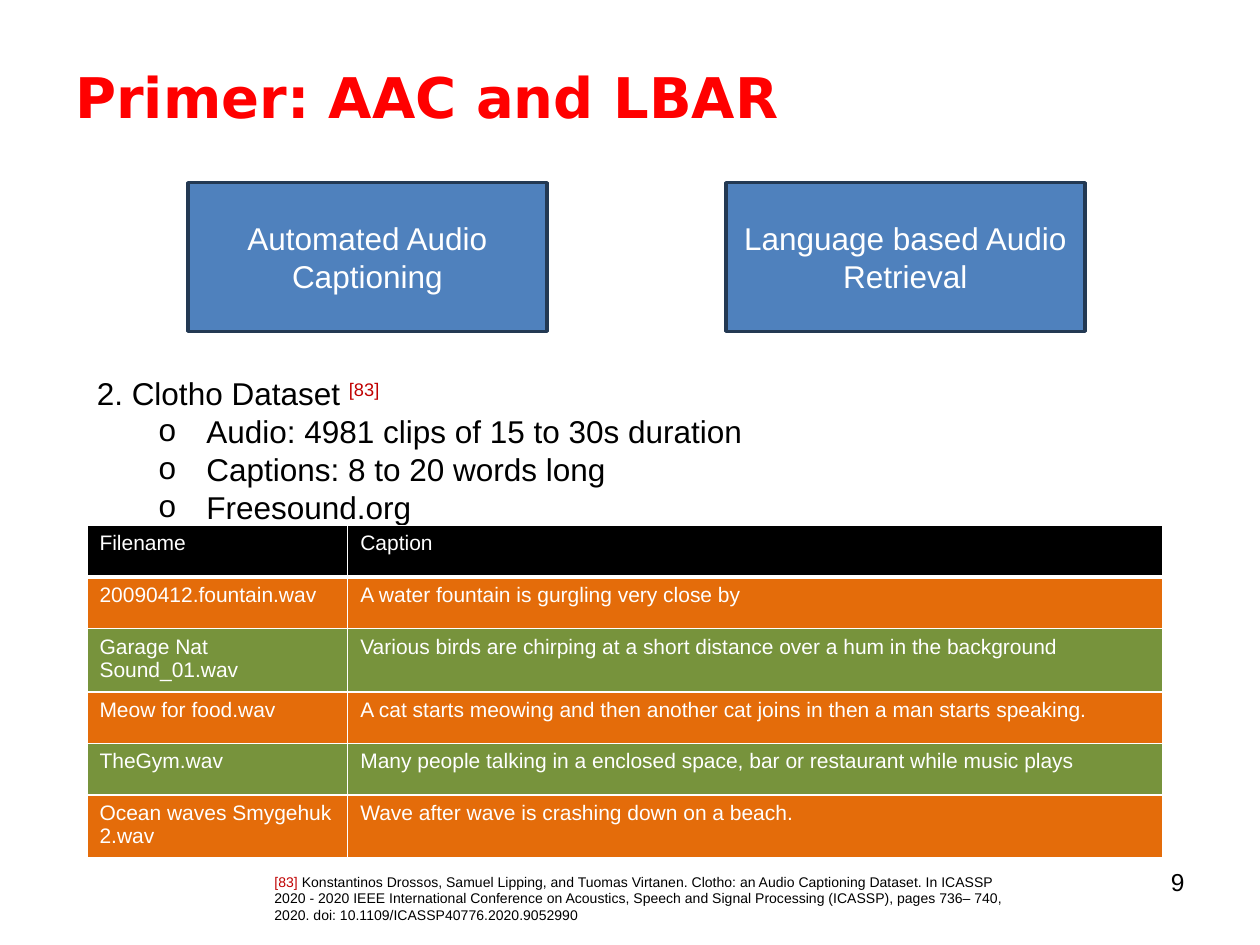
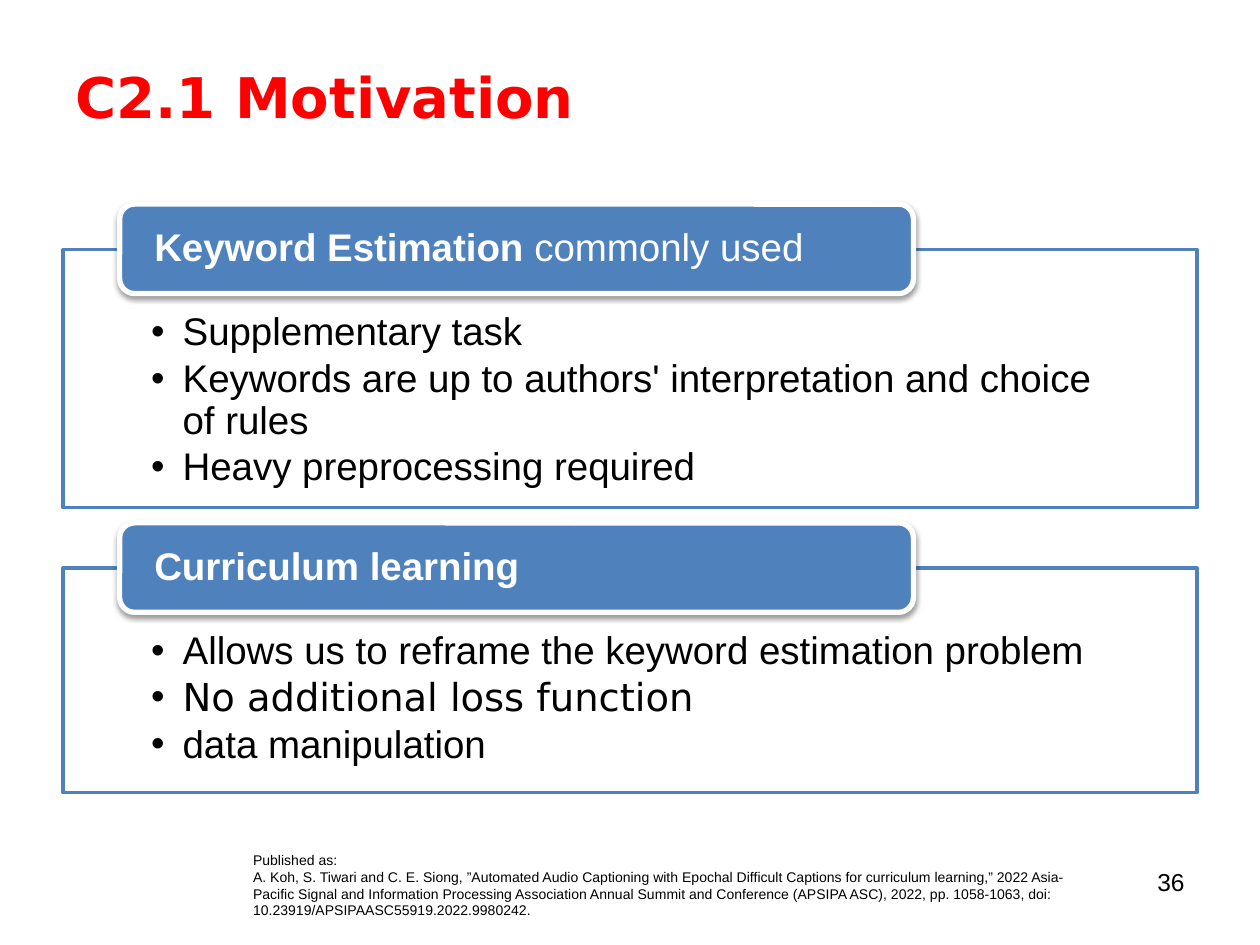
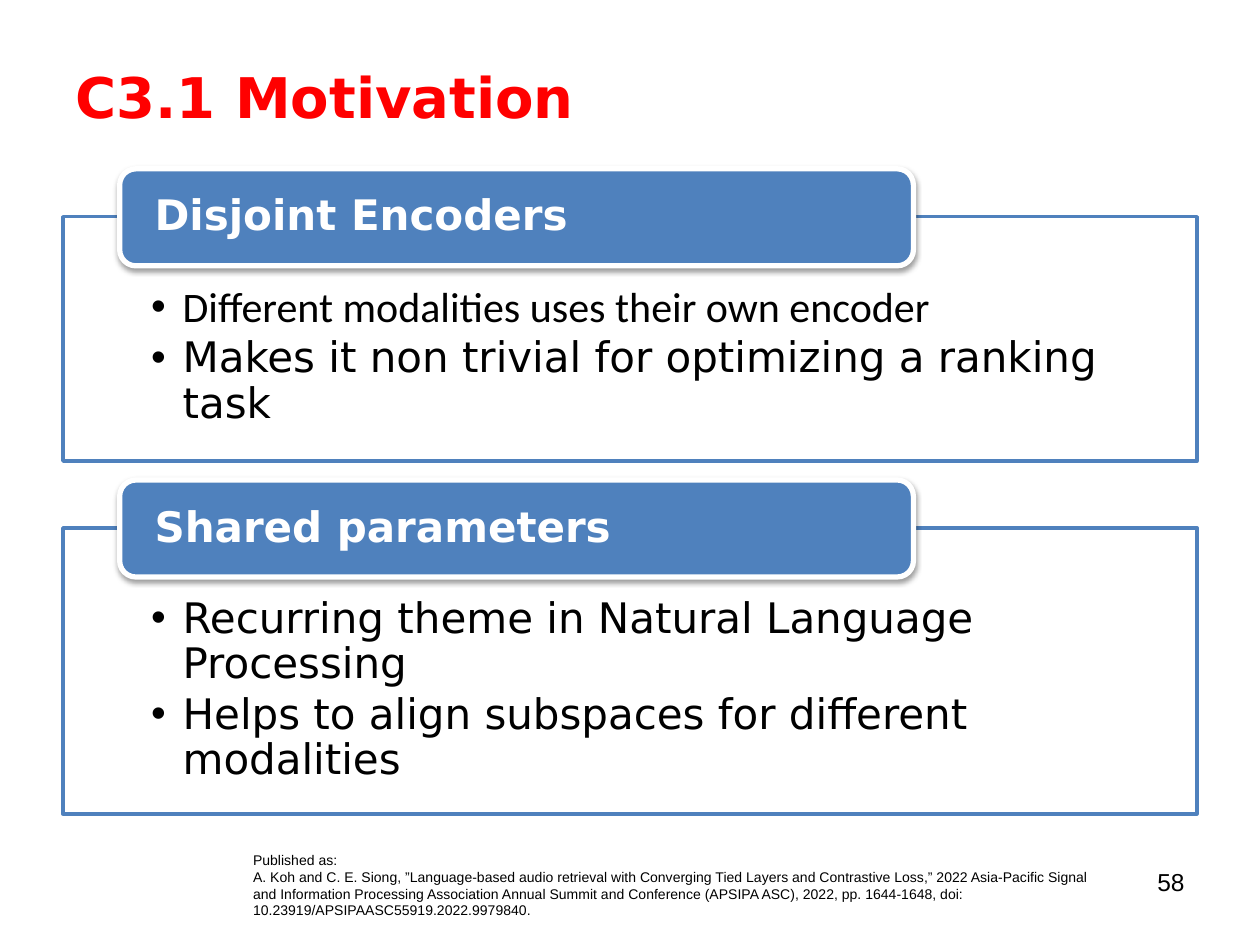
from lxml import etree
from pptx import Presentation
from pptx import util as u
from pptx.dml.color import RGBColor
from pptx.enum import shapes, text
from pptx.oxml import ns


class Theme:
    red, ref, ink, paper = "FF0000", "C00000", "000000", "FFFFFF"
    blue, navy = "4F81BD", "233953"
    bands = ("77933C", "E46C0A")
    sans, wide, human = "Arial", "DejaVu Sans", "Calibri"
    title, body, page, cell, note = 32, 18, 14, 12, 8


def px(*sizes):
    return [u.Emu(n * 9144) for n in sizes]


def write(frame, paras, size=Theme.body, font=Theme.sans, color=Theme.ink, bold=False,
          align="LEFT", anchor="TOP", inset=None, line=None, after=0, bullet=None, indent=0, hang=0):
    frame.word_wrap = True
    frame.vertical_anchor = text.MSO_ANCHOR[anchor]
    if inset:
        frame.margin_left, frame.margin_top, frame.margin_right, frame.margin_bottom = px(*inset)
    for runs in paras:
        para = frame.add_paragraph() if frame.text else frame.paragraphs[0]
        para.alignment = text.PP_ALIGN[align]
        para.space_after = u.Pt(after)
        if line:
            para.line_spacing = line
        if bullet:
            props = para._p.get_or_add_pPr()
            left, first = px(indent, -hang)
            props.set("marL", str(left))
            props.set("indent", str(first))
            etree.SubElement(props, ns.qn("a:buFont")).set("typeface", Theme.sans)
            etree.SubElement(props, ns.qn("a:buChar")).set("char", bullet)
        for words, own in [(runs, {})] if isinstance(runs, str) else runs:
            run = para.add_run()
            run.text = words
            run.font.size = u.Pt(size)
            run.font.name = own.get("font", font)
            run.font.bold = own.get("bold", bold)
            run.font.color.rgb = RGBColor.from_string(own.get("color", color))
            if "base" in own:
                run._r.get_or_add_rPr().set("baseline", str(own["base"] * 1000))


deck = Presentation()
deck.slide_width, deck.slide_height = px(1000, 750)

heads = [("Primer: AAC and LBAR", "9"), ("C2.1 Motivation", "36"), ("C3.1 Motivation", "58")]
slides = []
for head, page in heads:
    slide = deck.slides.add_slide(deck.slide_layouts[6])
    title = slide.shapes.add_textbox(*px(50, 31, 900, 91))
    write(title.text_frame, [head], size=Theme.title, font=Theme.wide, color=Theme.red,
          bold=True, anchor="MIDDLE")
    number = slide.shapes.add_textbox(*px(717, 683, 233, 52))
    write(number.text_frame, [page], size=Theme.page, align="RIGHT")
    slides.append(slide)

primer = slides[0]
for left, task in [(149, "Automated Audio Captioning"), (576, "Language based Audio Retrieval")]:
    box = primer.shapes.add_shape(shapes.MSO_SHAPE.RECTANGLE, *px(left, 145, 285, 118))
    box.shadow.inherit = False
    box.fill.solid()
    box.fill.fore_color.rgb = RGBColor.from_string(Theme.blue)
    box.line.color.rgb = RGBColor.from_string(Theme.navy)
    box.line.width = u.Pt(2)
    write(box.text_frame, [task], color=Theme.paper, align="CENTER", anchor="MIDDLE")

facts = primer.shapes.add_textbox(*px(67, 292, 857, 192)).text_frame
write(facts, [[("2. Clotho Dataset ", {}), ("[83]", {"color": Theme.ref, "base": 30})]])
write(facts, ["Audio: 4981 clips of 15 to 30s duration", "Captions: 8 to 20 words long",
              "Freesound.org"], bullet="o", indent=87, hang=38)

clips = [
    ("Filename", "Caption"),
    ("20090412.fountain.wav", "A water fountain is gurgling very close by"),
    ("Garage Nat Sound_01.wav",
     "Various birds are chirping at a short distance over a hum in the background"),
    ("Meow for food.wav",
     "A cat starts meowing and then another cat joins in then a man starts speaking."),
    ("TheGym.wav",
     "Many people talking in a enclosed space, bar or restaurant while music plays"),
    ("Ocean waves Smygehuk 2.wav", "Wave after wave is crashing down on a beach."),
]
grid = primer.shapes.add_table(len(clips), 2, *px(69, 417, 854, 246)).table
grid.columns[0].width, grid.columns[1].width = px(207, 647)
for r, clip in enumerate(clips):
    for c, words in enumerate(clip):
        cell = grid.cell(r, c)
        props = cell._tc.get_or_add_tcPr()
        for side in "LRTB":
            thick = 3 if (r, side) in [(0, "B"), (1, "T")] else 1
            edge = etree.SubElement(props, ns.qn("a:ln" + side), w=str(u.Pt(thick)))
            fill = etree.SubElement(edge, ns.qn("a:solidFill"))
            etree.SubElement(fill, ns.qn("a:srgbClr"), val=Theme.paper)
        cell.fill.solid()
        cell.fill.fore_color.rgb = RGBColor.from_string(Theme.bands[r % 2] if r else Theme.ink)
        write(cell.text_frame, [words], size=Theme.cell, color=Theme.paper)

wide = {"font": Theme.wide}
panels = [
    (1, 198, 205, 71, 22, Theme.sans,
     [("Keyword Estimation", {}), (" commonly used", {"bold": False})],
     ["Supplementary task", "Keywords are up to authors' interpretation and choice of rules",
      "Heavy preprocessing required"]),
    (1, 451, 178, 71, 22, Theme.sans, "Curriculum learning",
     ["Allows us to reframe the keyword estimation problem",
      [("No additional loss function", wide)], "data manipulation"]),
    (2, 172, 194, 77, 24, Theme.wide, "Disjoint Encoders",
     [[("Different modalities uses their own encoder", {"font": Theme.human})],
      "Makes it non trivial for optimizing a ranking task"]),
    (2, 419, 227, 77, 24, Theme.wide, "Shared parameters",
     ["Recurring theme in Natural Language Processing",
      "Helps to align subspaces for different modalities"]),
]
for index, top, height, tall, size, font, label, points in panels:
    art = slides[index].shapes
    frame = art.add_shape(shapes.MSO_SHAPE.RECTANGLE, *px(50, top, 900, height))
    tab = art.add_shape(shapes.MSO_SHAPE.ROUNDED_RECTANGLE,
                        *px(95, top - round(tall / 2), 630, tall))
    for shape, fill, line, width in [(frame, Theme.paper, Theme.blue, 2),
                                     (tab, Theme.blue, Theme.paper, 3)]:
        shape.shadow.inherit = False
        shape.fill.solid()
        shape.fill.fore_color.rgb = RGBColor.from_string(fill)
        shape.line.color.rgb = RGBColor.from_string(line)
        shape.line.width = u.Pt(width)
    glow = etree.SubElement(tab._element.spPr.find(ns.qn("a:effectLst")), ns.qn("a:outerShdw"),
                            blurRad=str(u.Pt(3.1)), dist=str(u.Pt(1.6)), dir="5400000",
                            rotWithShape="0")
    shade = etree.SubElement(glow, ns.qn("a:srgbClr"), val=Theme.ink)
    etree.SubElement(shade, ns.qn("a:alpha"), val="38000")
    write(frame.text_frame, points, size=size, font=font, inset=(70, size * 5 // 2 - 5, 70, 17),
          line=0.9, after=3, bullet="•", indent=25, hang=25)
    write(tab.text_frame, [label], size=size, font=font, color=Theme.paper, bold=True,
          anchor="MIDDLE", inset=(24, 0, 24, 0), line=0.9)

notes = [
    ((208, 688, 609, 50), [[("[83]", {"color": Theme.ref}), (
        " Konstantinos Drossos, Samuel Lipping, and Tuomas Virtanen. Clotho: an Audio Captioning "
        "Dataset. In ICASSP 2020 - 2020 IEEE International Conference on Acoustics, Speech and "
        "Signal Processing (ICASSP), pages 736– 740, 2020. doi: "
        "10.1109/ICASSP40776.2020.9052990", {})]]),
    ((191, 671, 685, 64), ["Published as:", (
        "A. Koh, S. Tiwari and C. E. Siong, ”Automated Audio Captioning with Epochal Difficult "
        "Captions for curriculum learning,” 2022 Asia-Pacific Signal and Information Processing "
        "Association Annual Summit and Conference (APSIPA ASC), 2022, pp. 1058-1063, doi: "
        "10.23919/APSIPAASC55919.2022.9980242.")]),
    ((191, 671, 685, 64), ["Published as:", (
        "A. Koh and C. E. Siong, ”Language-based audio retrieval with Converging Tied Layers and "
        "Contrastive Loss,” 2022 Asia-Pacific Signal and Information Processing Association "
        "Annual Summit and Conference (APSIPA ASC), 2022, pp. 1644-1648, doi: "
        "10.23919/APSIPAASC55919.2022.9979840.")]),
]
for slide, (place, lines) in zip(slides, notes):
    write(slide.shapes.add_textbox(*px(*place)).text_frame, lines, size=Theme.note)

deck.save("out.pptx")
